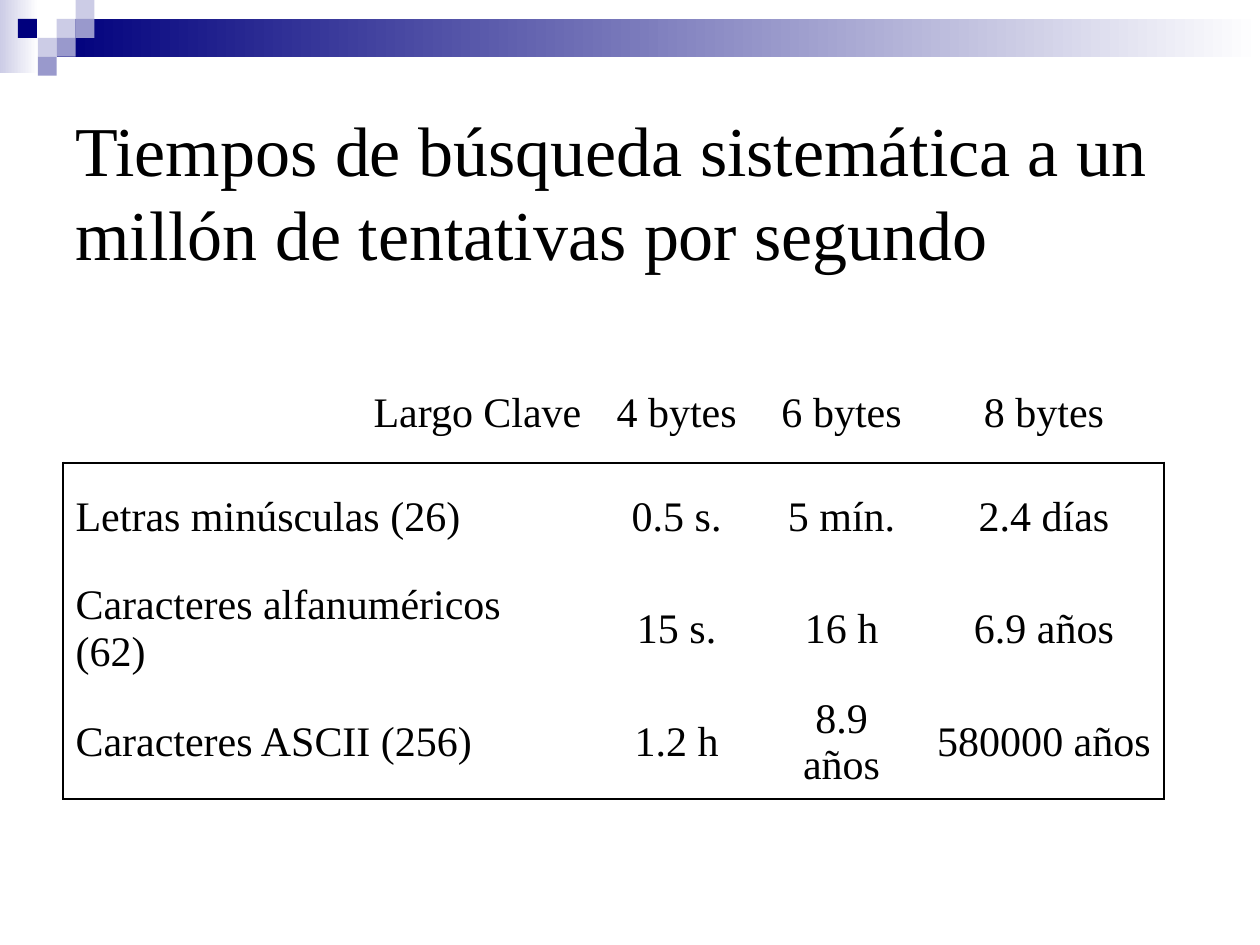
import lxml.etree
import pptx
import pptx.dml.color
import pptx.enum.shapes
import pptx.enum.text
import pptx.oxml.ns
import pptx.util

Pt = pptx.util.Pt
ALIGN = pptx.enum.text.PP_ALIGN
MIDDLE = pptx.enum.text.MSO_ANCHOR.MIDDLE
COLORS = {"ink": "000000", "paper": "FFFFFF", "navy": "00007D",
          "lilac": "9999CC", "pale": "CCCCE6"}


class Deck:
    """Holds the style and the current slide, and draws each kind of element."""

    font = "Times New Roman"

    def __init__(self, width, height):
        self.prs = pptx.Presentation()
        self.prs.slide_width, self.prs.slide_height = Pt(width), Pt(height)
        self.s = self.prs.slides.add_slide(self.prs.slide_layouts[6])

    def rgb(self, name):
        return pptx.dml.color.RGBColor.from_string(COLORS[name])

    def rect(self, x, y, w, h, color, fade_to=None):
        sp = self.s.shapes.add_shape(
            pptx.enum.shapes.MSO_SHAPE.RECTANGLE, Pt(x), Pt(y), Pt(w), Pt(h))
        sp.shadow.inherit = False
        sp.line.fill.background()
        if fade_to:
            sp.fill.gradient()
            sp.fill.gradient_angle = 0
            for stop, name in zip(sp.fill.gradient_stops, (color, fade_to)):
                stop.color.rgb = self.rgb(name)
        else:
            sp.fill.solid()
            sp.fill.fore_color.rgb = self.rgb(color)

    def add_text(self, tf, text, size, align=ALIGN.LEFT, before=0):
        p = tf.paragraphs[0]
        p.alignment = align
        p.space_before = Pt(before)
        r = p.add_run()
        r.text = text
        r.font.name, r.font.size = self.font, Pt(size)
        r.font.color.rgb = self.rgb("ink")

    def text(self, x, y, w, h, text, size):
        tf = self.s.shapes.add_textbox(Pt(x), Pt(y), Pt(w), Pt(h)).text_frame
        tf.word_wrap = True
        tf.vertical_anchor = MIDDLE
        self.add_text(tf, text, size)

    def borders(self, cell, widths):
        tc_pr = cell._tc.get_or_add_tcPr()
        for i, side in enumerate("LRTB"):
            ln = lxml.etree.Element(pptx.oxml.ns.qn("a:ln" + side))
            if side in widths:
                ln.set("w", str(Pt(widths[side])))
                fill = lxml.etree.SubElement(ln, pptx.oxml.ns.qn("a:solidFill"))
                lxml.etree.SubElement(
                    fill, pptx.oxml.ns.qn("a:srgbClr"), val=COLORS["ink"])
            else:
                lxml.etree.SubElement(ln, pptx.oxml.ns.qn("a:noFill"))
            tc_pr.insert(i, ln)

    def table(self, x, y, cols, rows, data, size, rule, frame):
        table = self.s.shapes.add_table(
            len(rows), len(cols), Pt(x), Pt(y), Pt(sum(cols)), Pt(sum(rows))).table
        table.first_row = table.horz_banding = False
        for col, w in zip(table.columns, cols):
            col.width = Pt(w)
        for row, h in zip(table.rows, rows):
            row.height = Pt(h)
        for i, values in enumerate(data):
            for j, value in enumerate(values):
                cell = table.cell(i, j)
                cell.fill.background()
                cell.vertical_anchor = MIDDLE
                first = ALIGN.LEFT if i else ALIGN.RIGHT
                self.add_text(cell.text_frame, value, size,
                              ALIGN.CENTER if j else first, 6)
                widths = {}
                if i == 0:
                    widths["B"] = rule
                if i == 1:
                    widths["T"] = rule
                if i == len(rows) - 1:
                    widths["B"] = frame
                if i and j == 0:
                    widths["L"] = frame
                if i and j == len(cols) - 1:
                    widths["R"] = frame
                self.borders(cell, widths)


def main():
    deck = Deck(720, 540)
    unit = 10.8
    deck.rect(0, 0, 22, 42, "pale", "paper")
    deck.rect(3 * unit, unit, 720 - 3 * unit, 2 * unit, "navy", "paper")
    squares = [(3, 1, "pale"), (4, 0, "pale"), (4, 1, "lilac"), (2, 2, "pale"),
               (0.95, 1, "navy"), (3, 2, "lilac"), (2, 3, "lilac")]
    for col, row, color in squares:
        deck.rect(col * unit, row * unit, unit, unit, color)

    deck.text(36, 54.7, 648, 108,
              "Tiempos de búsqueda sistemática a un millón de tentativas por segundo", 40)
    data = [
        ("Largo Clave", "4 bytes", "6 bytes", "8 bytes"),
        ("Letras minúsculas (26)", "0.5 s.", "5 mín.", "2.4 días"),
        ("Caracteres alfanuméricos (62)", "15 s.", "16 h", "6.9 años"),
        ("Caracteres ASCII (256)", "1.2 h", "8.9 años", "580000 años"),
    ]
    deck.table(36, 207.5, [303.5, 94.3, 94.3, 137], [57, 62.5, 62.5, 57], data,
               24, 1.47, 1.08)
    deck.prs.save("out.pptx")


if __name__ == "__main__":
    main()
